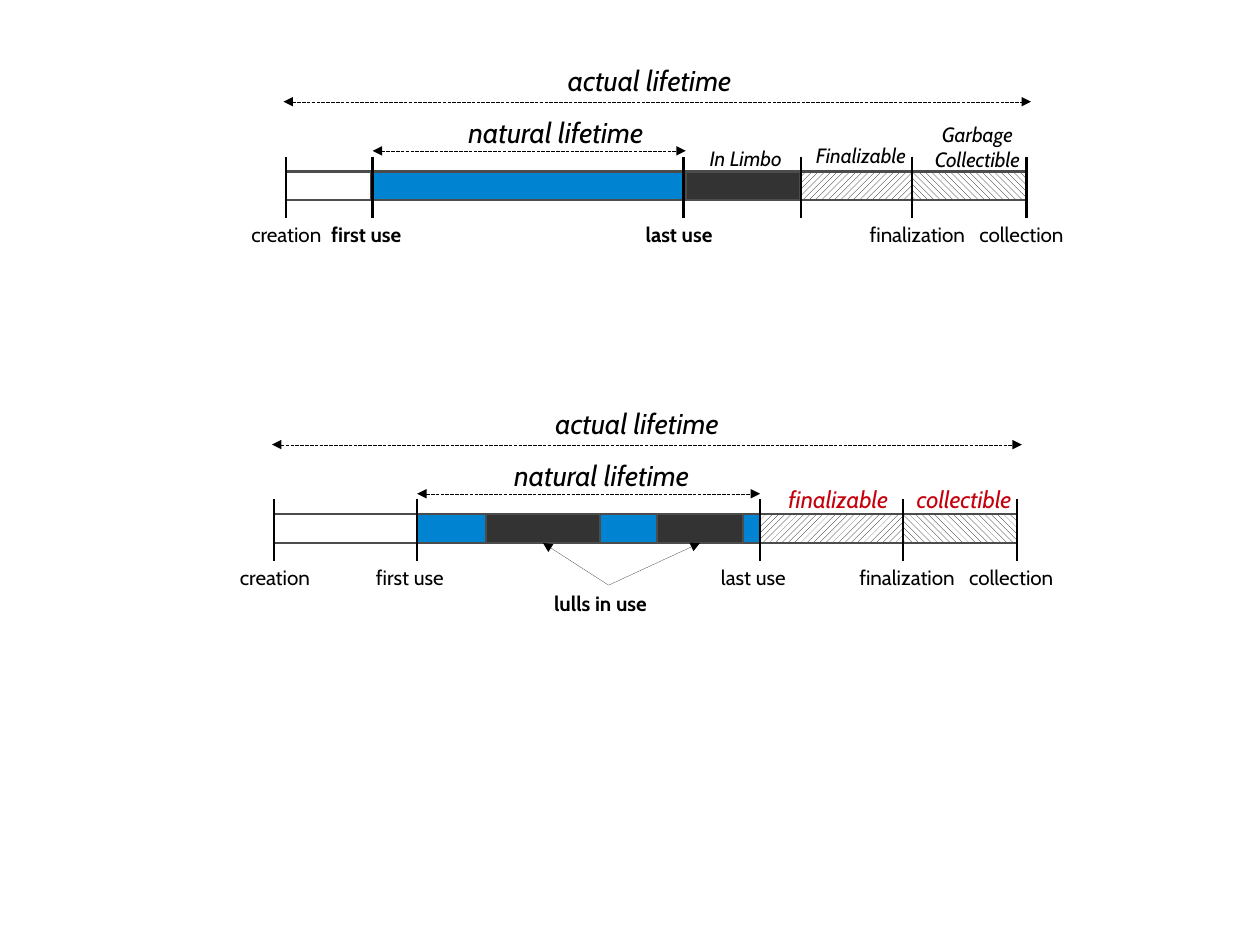
from pptx import Presentation
from pptx.dml.color import RGBColor
from pptx.enum.dml import MSO_LINE, MSO_PATTERN
from pptx.enum.shapes import MSO_CONNECTOR, MSO_SHAPE
from pptx.enum.text import MSO_AUTO_SIZE, PP_ALIGN
from pptx.oxml.ns import qn
from pptx.util import Cm, Inches, Pt
from lxml.etree import SubElement

BLACK = RGBColor(0x00, 0x00, 0x00)
WHITE = RGBColor(0xFF, 0xFF, 0xFF)
BLUE = RGBColor(0x00, 0x84, 0xD1)
DARK = RGBColor(0x33, 0x33, 0x33)
OUTLINE = RGBColor(0x4C, 0x4C, 0x4C)
RED = RGBColor(0xC5, 0x00, 0x0B)
UPWARD = MSO_PATTERN.WIDE_UPWARD_DIAGONAL
DOWNWARD = MSO_PATTERN.WIDE_DOWNWARD_DIAGONAL

FONT = "Cabin"
LINE_WIDTH = Pt(1.45)
HAIRLINE = Pt(0)
BAR_HEIGHT = 0.25


def add_label(page, text, left, top, width, height=0.34, size=13,
              bold=False, italic=False, color=BLACK, align=PP_ALIGN.LEFT):
    box = page.shapes.add_textbox(Inches(left), Inches(top), Inches(width), Inches(height))
    frame = box.text_frame
    frame.text = text
    frame.word_wrap = False
    frame.auto_size = MSO_AUTO_SIZE.SHAPE_TO_FIT_TEXT
    for para in frame.paragraphs:
        para.alignment = align
        for span in para.runs:
            font = span.font
            font.name, font.size = FONT, Pt(size)
            font.bold, font.italic = bold, italic
            font.color.rgb = color
    return box


def add_segment(page, start, end, top, fill=None):
    """Add a bar piece; fill is a colour, a hatch pattern or None."""
    segment = page.shapes.add_shape(MSO_SHAPE.RECTANGLE, Inches(start), Inches(top),
                                    Inches(end - start), Inches(BAR_HEIGHT))
    segment.shadow.inherit = False
    segment.line.color.rgb = OUTLINE
    segment.line.width = LINE_WIDTH
    if fill is None:
        segment.fill.background()
    elif isinstance(fill, RGBColor):
        segment.fill.solid()
        segment.fill.fore_color.rgb = fill
    else:
        segment.fill.patterned()
        segment.fill.pattern = fill
        segment.fill.fore_color.rgb = BLACK
        segment.fill.back_color.rgb = WHITE
    return segment


def add_line(page, x1, y1, x2, y2, width=LINE_WIDTH, dash=None, heads=()):
    line = page.shapes.add_connector(MSO_CONNECTOR.STRAIGHT, Inches(x1), Inches(y1),
                                     Inches(x2), Inches(y2))
    line.line.color.rgb = BLACK
    if dash:
        line.line.dash_style = dash
    # The width property drops a zero, so the attribute is set directly.
    outline = line._element.spPr.find(qn("a:ln"))
    outline.set("w", str(int(width)))
    for head in heads:
        SubElement(outline, qn(f"a:{head}"), type="triangle")
    SubElement(line._element.spPr, qn("a:effectLst"))
    return line


def add_span_arrow(page, start, end, y):
    add_line(page, start, y, end, y, HAIRLINE, MSO_LINE.SQUARE_DOT, ("headEnd", "tailEnd"))


def add_timeline(page, top, segments, ticks, natural, actual_left, natural_left, events):
    for start, end, fill in segments:
        add_segment(page, start, end, top, fill)
    for x in ticks:
        add_line(page, x, top - 0.13, x, top + 0.41)
    add_label(page, "actual lifetime", actual_left, top - 1, 1.78, 0.44, 18, italic=True)
    add_span_arrow(page, ticks[0] - 0.02, ticks[-1] + 0.04, top - 0.61)
    add_label(page, "natural lifetime", natural_left, top - 0.54, 1.9, 0.44, 18, italic=True)
    add_span_arrow(page, *natural, top - 0.18)
    for text, left, width, bold in events:
        add_label(page, text, left, top + 0.39, width, bold=bold)


def add_lulls(page, top, lulls):
    label = add_label(page, "lulls in use", 4.75, top + 0.62, 1.15, bold=True)
    for start, end in lulls:
        lull = add_segment(page, start, end, top, DARK)
        pointer = add_line(page, 5.33, top + 0.62, (start + end) / 2, top + BAR_HEIGHT,
                           HAIRLINE, heads=("tailEnd",))
        pointer.begin_connect(label, 0)
        pointer.end_connect(lull, 2)


def main():
    deck = Presentation()
    deck.slide_width, deck.slide_height = Cm(28), Cm(21)
    page = deck.slides.add_slide(deck.slide_layouts[6])

    add_timeline(
        page, 1.5,
        segments=[(3.26, 6, BLUE), (7, 7.98, UPWARD), (2.5, 3.25, None),
                  (7.98, 8.98, DOWNWARD), (6, 7, DARK)],
        ticks=[2.5, 3.26, 5.98, 7.01, 7.98, 8.98],
        natural=(3.26, 6), actual_left=4.87, natural_left=4,
        events=[("creation", 2.1, 0.89, False), ("first use", 2.8, 0.94, True),
                ("last use", 5.55, 0.89, True), ("finalization", 7.51, 1.13, False),
                ("collection", 8.47, 1.01, False)])
    add_label(page, "In Limbo", 6.11, 1.23, 0.9, italic=True)
    add_label(page, "Finalizable", 7.04, 1.2, 1.05, italic=True)
    add_label(page, "Garbage\nCollectible", 8.04, 1.02, 1.02, 0.59, italic=True,
              align=PP_ALIGN.CENTER)

    add_timeline(
        page, 4.5,
        segments=[(3.65, 6.65, BLUE), (6.65, 7.9, UPWARD), (2.4, 3.65, None),
                  (7.9, 8.9, DOWNWARD)],
        ticks=[2.4, 3.65, 6.65, 7.9, 8.9],
        natural=(3.65, 6.65), actual_left=4.76, natural_left=4.4,
        events=[("creation", 2, 0.89, False), ("first use", 3.19, 0.88, False),
                ("last use", 6.21, 0.84, False), ("finalization", 7.42, 1.13, False),
                ("collection", 8.38, 1.01, False)])
    add_label(page, "finalizable", 6.8, 4.19, 1.15, 0.38, 15, italic=True, color=RED)
    add_label(page, "collectible", 7.92, 4.19, 1.12, 0.38, 15, italic=True, color=RED)
    add_lulls(page, 4.5, [(4.25, 5.25), (5.75, 6.5)])

    deck.save("out.pptx")


if __name__ == "__main__":
    main()
